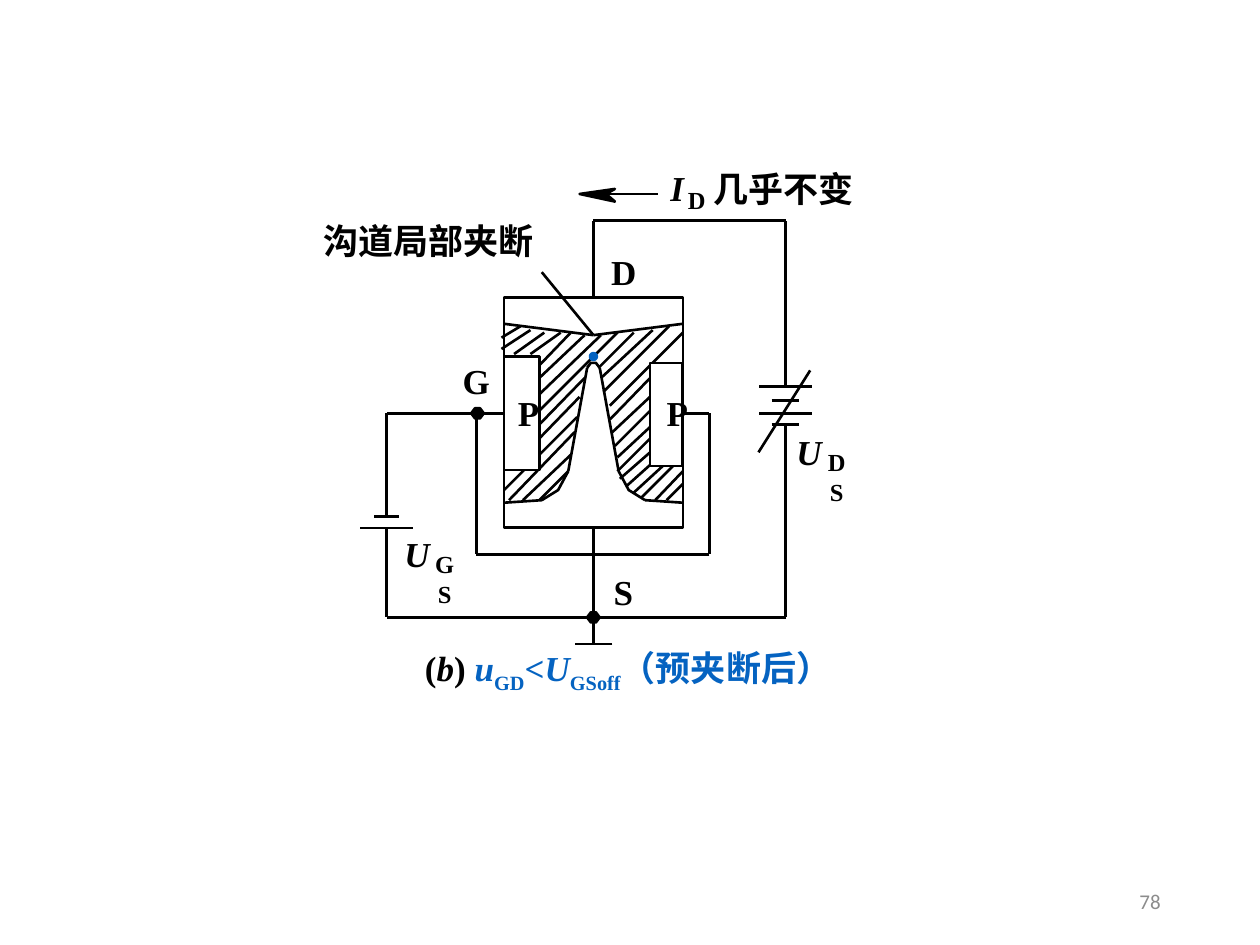
from typing import NamedTuple

import pptx
import pptx.dml.color
import pptx.enum.shapes
import pptx.enum.text
import pptx.oxml.ns
import pptx.util
from lxml import etree

BLACK = pptx.dml.color.RGBColor(0, 0, 0)
WHITE = pptx.dml.color.RGBColor(255, 255, 255)
BLUE = pptx.dml.color.RGBColor(0x05, 0x63, 0xC1)
GRAY = pptx.dml.color.RGBColor(0x8C, 0x8C, 0x8C)
SERIF, HAN = "Times New Roman", "Noto Sans CJK SC"
SHAPE = pptx.enum.shapes.MSO_SHAPE
ALIGN = pptx.enum.text.PP_ALIGN
AXIS = 4.71  # centre line of the transistor
SUPPLY, BIAS = 6.235, 3.07  # wires through the two batteries


class Line(NamedTuple):
    x1: float
    y1: float
    x2: float
    y2: float


class Plate(NamedTuple):
    y: float
    half: float


class Label(NamedTuple):
    text: str
    x: float
    y: float
    width: float
    size: int = 20
    italic: bool = False
    wrap: bool = False
    font: str = SERIF


class Span(NamedTuple):
    text: str
    color: pptx.dml.color.RGBColor = BLUE
    italic: bool = False
    baseline: int = 0


def length(inches: float) -> pptx.util.Length:
    return pptx.util.Cm(inches * 2.54)


def mirror(x: float) -> float:
    return 2 * AXIS - x


def draw_line(line: Line, color=BLACK) -> None:
    wire = page.shapes.add_connector(
        pptx.enum.shapes.MSO_CONNECTOR.STRAIGHT, *map(length, line))
    wire.line.color.rgb = color
    wire.line.width = pptx.util.Pt(1.5)
    etree.SubElement(wire._element.spPr, pptx.oxml.ns.qn("a:effectLst"))


def draw_lines(lines: list[Line]) -> None:
    for line in lines:
        draw_line(line)


def style(shape, fill, line=BLACK, width: float = 1.5) -> None:
    shape.shadow.inherit = False
    if fill is None:
        shape.fill.background()
    else:
        shape.fill.solid()
        shape.fill.fore_color.rgb = fill
    shape.line.color.rgb = line
    shape.line.width = pptx.util.Pt(width)


def draw_shape(kind, x, y, width, height, fill=WHITE, line=BLACK, weight=1.5) -> None:
    shape = page.shapes.add_shape(kind, *map(length, (x, y, width, height)))
    style(shape, fill, line, weight)


def draw_outline(points: list[tuple[float, float]], fill=None) -> None:
    start, *rest = [(length(x), length(y)) for x, y in points]
    builder = page.shapes.build_freeform(*start)
    builder.add_line_segments(rest, close=fill is not None)
    style(builder.convert_to_shape(), fill)


def draw_node(x: float, y: float) -> None:
    draw_outline([(x - .05, y), (x - .02, y - .04), (x + .02, y - .04),
                  (x + .05, y), (x + .02, y + .04), (x - .02, y + .04)], BLACK)


def draw_battery(x: float, plates: list[Plate]) -> None:
    for upper, lower in zip(plates, plates[1:]):
        draw_line(Line(x, upper.y, x, lower.y), WHITE)
    for plate in plates:
        draw_line(Line(x - plate.half, plate.y, x + plate.half, plate.y))


def add_box(x, y, width, height, *, wrap=True, margin=True, align=ALIGN.CENTER):
    box = page.shapes.add_textbox(*map(length, (x, y, width, height)))
    frame = box.text_frame
    frame.word_wrap = wrap
    if not margin:
        frame.margin_left = frame.margin_right = frame.margin_top = frame.margin_bottom = 0
        frame.auto_size = pptx.enum.text.MSO_AUTO_SIZE.SHAPE_TO_FIT_TEXT
    frame.paragraphs[0].alignment = align
    return frame


def add_span(para, text: str, *, size=20, font=SERIF, color=BLACK,
             bold=True, italic=False, baseline=0) -> None:
    span = para.add_run()
    span.text = text
    span.font.size = pptx.util.Pt(size)
    span.font.name = font
    span.font.color.rgb = color
    span.font.bold = bold
    span.font.italic = italic
    properties = span._r.get_or_add_rPr()
    etree.SubElement(properties, pptx.oxml.ns.qn("a:ea"), typeface=HAN)
    if baseline:
        properties.set("baseline", str(baseline * 1000))


def draw_label(label: Label) -> None:
    frame = add_box(label.x, label.y, label.width, .33 if label.size == 20 else .23,
                    wrap=label.wrap, margin=False)
    add_span(frame.paragraphs[0], label.text, size=label.size, font=label.font,
             italic=label.italic)


WIRES = [
    Line(3.78, 3.28, 3.78, 4.4), Line(5.63, 4.4, 3.78, 4.4), Line(5.63, 3.28, 5.63, 4.4),
    Line(BIAS, 3.28, BIAS, 4.9), Line(AXIS, 1.75, SUPPLY, 1.75),
    Line(SUPPLY, 4.9, SUPPLY, 1.75), Line(SUPPLY, 4.9, BIAS, 4.9),
    Line(4.86, 5.11, 4.56, 5.11),
]
LEFT_HATCH = [Line(*ends) for ends in (
    (4.21, 2.62, 3.98, 2.77), (4.13, 2.59, 3.98, 2.68), (4.32, 2.64, 4.08, 2.81),
    (4.45, 2.64, 4.21, 2.81), (4.53, 2.64, 4.28, 2.9), (4.64, 2.66, 4.28, 3),
    (4.77, 2.66, 4.28, 3.13), (4.9, 2.64, 4.28, 3.26), (4.64, 3, 4.28, 3.37),
    (4.6, 3.15, 4.28, 3.48), (4.58, 3.31, 4, 3.89), (4.56, 3.43, 4.04, 3.97),
    (4.53, 3.61, 4.15, 3.97), (4.51, 3.74, 4.28, 3.97))]
RIGHT_HATCH = [Line(*ends) for ends in (
    (5.03, 2.64, 4.75, 2.92), (5.18, 2.62, 4.77, 3), (5.31, 2.59, 4.79, 3.11),
    (5.42, 2.64, 4.84, 3.22), (5.16, 3, 4.84, 3.33), (5.18, 3.13, 4.86, 3.43),
    (5.16, 3.26, 4.88, 3.54), (5.18, 3.37, 4.9, 3.63), (5.16, 3.48, 4.9, 3.74),
    (5.16, 3.59, 4.92, 3.8), (5.16, 3.69, 4.97, 3.86), (5.27, 3.69, 5.03, 3.91),
    (5.35, 3.69, 5.09, 3.95), (5.42, 3.74, 5.2, 3.97), (5.42, 3.84, 5.29, 3.97))]
LABELS = [
    Label("D", 4.85, 1.99, .2), Label("G", 3.67, 2.85, .22), Label("S", 4.87, 4.53, .15),
    Label("U", 6.32, 3.42, .2, italic=True), Label("DS", 6.53, 3.55, .22, 14, wrap=True),
    Label("U", 3.21, 4.23, .2, italic=True), Label("GS", 3.42, 4.36, .22, 14, wrap=True),
    Label("沟道局部夹断", 2.56, 1.74, 1.68, font=HAN),
    Label("I", 5.32, 1.32, .11, italic=True), Label("D", 5.46, 1.47, .14, 14),
    Label("P", 4.11, 3.11, .17), Label("P", 5.29, 3.11, .17),
    Label("几乎不变", 5.62, 1.33, 1.2, wrap=True),
]
CAPTION = [
    Span("(", BLACK), Span("b", BLACK, True), Span(") ", BLACK),
    Span("u", italic=True), Span("GD", baseline=-25), Span("<"),
    Span("U", italic=True), Span("GSoff", baseline=-25), Span("（预夹断后）"),
]

deck = pptx.Presentation()
deck.slide_width, deck.slide_height = pptx.util.Cm(25.4), pptx.util.Cm(19.05)
page = deck.slides.add_slide(deck.slide_layouts[6])

# Transistor body and circuit wires
draw_lines([Line(AXIS, 1.75, AXIS, 5.11), Line(BIAS, 3.28, 5.63, 3.28)])
draw_shape(SHAPE.RECTANGLE, 4, 2.36, 1.42, 1.83)
draw_lines(WIRES)
draw_node(3.79, 3.28)
draw_node(AXIS, 4.9)

# Batteries; the drain supply is adjustable
draw_battery(SUPPLY, [Plate(3.07, .21), Plate(3.18, .11), Plate(3.28, .21), Plate(3.37, .11)])
draw_battery(BIAS, [Plate(4.1, .1), Plate(4.19, .21)])
draw_line(Line(6.43, 2.94, 6.02, 3.59))

# Current arrow and pointer to the pinched channel
draw_outline([(4.88, 1.5), (4.81, 1.54), (4.88, 1.6), (4.6, 1.54)], BLACK)
draw_lines([Line(5.22, 1.54, 4.81, 1.54), Line(4.3, 2.16, AXIS, 2.66)])

# Depletion layer edges, the same on both sides of the axis
draw_outline([(4.66, 2.92), (4.69, 2.88), (4.73, 2.88), (4.76, 2.92)])
for side in (lambda x: x, mirror):
    draw_lines([Line(AXIS, 2.66, side(4), 2.57), Line(side(4.51), 3.74, side(4.66), 2.92),
                Line(side(4), 3.99, side(4.3), 3.97)])
    draw_outline([(side(4.3), 3.97), (side(4.43), 3.89), (side(4.51), 3.74)])

# Hatching and gate regions
draw_lines(LEFT_HATCH + RIGHT_HATCH)
draw_shape(SHAPE.RECTANGLE, 4, 2.83, .28, .9)
draw_shape(SHAPE.RECTANGLE, 5.16, 2.88, .26, .82)
draw_shape(SHAPE.OVAL, 4.69, 2.81, .04, .04, BLUE, BLUE, 2.5)

# Labels, caption and page number
for label in LABELS:
    draw_label(label)
caption = add_box(2.98, 5.13, 4.01, .33, margin=False).paragraphs[0]
for part in CAPTION:
    add_span(caption, part.text, color=part.color, italic=part.italic, baseline=part.baseline)
number = add_box(7.06, 6.95, 2.25, .4, align=ALIGN.RIGHT)
number.vertical_anchor = pptx.enum.text.MSO_ANCHOR.MIDDLE
add_span(number.paragraphs[0], "78", size=12, font="Calibri", color=GRAY, bold=False)

deck.save("out.pptx")
